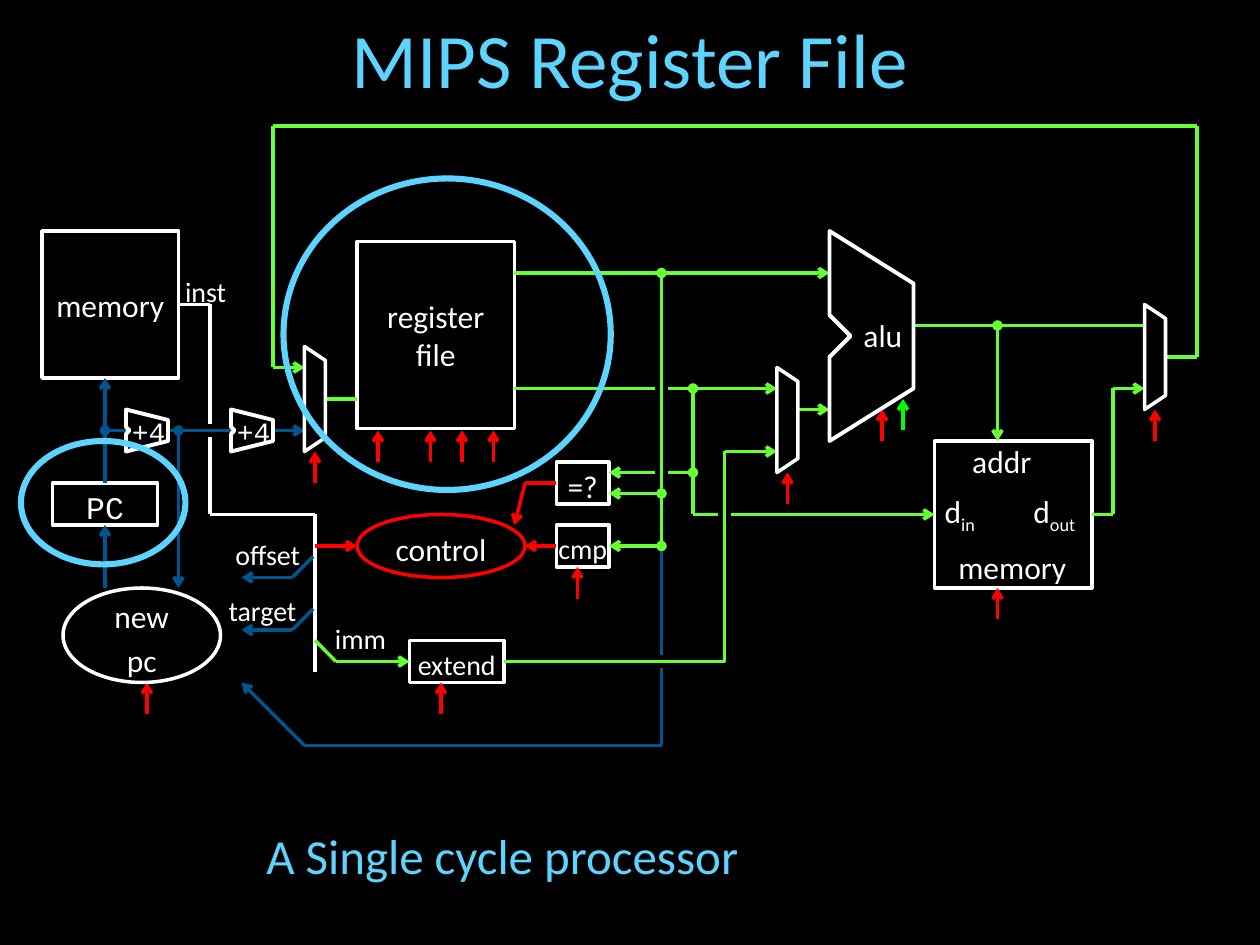
"""Build the MIPS register file slide: a single cycle processor datapath."""
from dataclasses import dataclass

import pptx
import pptx.dml.color
import pptx.enum.shapes
import pptx.enum.text
import pptx.oxml.ns
import pptx.util
from lxml import etree

Pt = pptx.util.Pt
RGB = pptx.dml.color.RGBColor.from_string
SHAPE = pptx.enum.shapes.MSO_SHAPE
qn = pptx.oxml.ns.qn


@dataclass(frozen=True)
class Theme:
    black: str = "000000"
    white: str = "FFFFFF"
    green: str = "66FF33"
    lime: str = "00FF00"
    red: str = "FF0000"
    blue: str = "005490"
    accent: str = "5DD4FF"
    font: str = "Calibri"
    mono: str = "Courier New"
    title: int = 44
    caption: int = 28
    block: int = 18
    small: int = 16


T = Theme()

prs = pptx.Presentation()
prs.slide_width, prs.slide_height = Pt(720), Pt(540)
s = prs.slides.add_slide(prs.slide_layouts[6])
s.background.fill.solid()
s.background.fill.fore_color.rgb = RGB(T.black)
joints = {}


def write(sp, text, size, color=T.white, font=T.font, spacing=1.16, sub=""):
    tf = sp.text_frame
    tf.text = text
    tf.word_wrap = False
    tf.vertical_anchor = pptx.enum.text.MSO_ANCHOR.MIDDLE
    tf.margin_left = tf.margin_right = Pt(0)
    if sub:
        r = tf.paragraphs[0].add_run()
        r.text = sub
        r._r.get_or_add_rPr().set("baseline", "-25000")
    for p in tf.paragraphs:
        p.alignment = pptx.enum.text.PP_ALIGN.CENTER
        p.line_spacing = spacing
        for r in p.runs:
            r.font.size, r.font.name = Pt(size), font
            r.font.color.rgb = RGB(color)


def wire(color, points, head=None, tail="arrow", width=2):
    last = len(points) - 2
    for i, (a, b) in enumerate(zip(points, points[1:])):
        c = s.shapes.add_connector(pptx.enum.shapes.MSO_CONNECTOR.STRAIGHT,
                                   Pt(a[0]), Pt(a[1]), Pt(b[0]), Pt(b[1]))
        c.line.color.rgb = RGB(color)
        c.line.width = Pt(width)
        if a in joints:
            c.begin_connect(*joints[a])
        if b in joints:
            c.end_connect(*joints[b])
        ln = c._element.spPr.find(qn("a:ln"))
        if head and i == 0:
            etree.SubElement(ln, qn("a:headEnd"), type=head)
        if tail and i == last:
            etree.SubElement(ln, qn("a:tailEnd"), type=tail)
        etree.SubElement(c._element.spPr, qn("a:effectLst"))


outlined = []

for text, x, y, w, h, size, font, spacing in [
    ("memory", 24, 132, 78, 84, T.block, T.font, 1),
    ("register\nfile", 204, 138, 90, 107, T.block, T.font, 1),
    ("PC", 30, 276, 60, 24, T.block, T.mono, 1.16),
    ("=?", 318, 264, 30, 24, T.block, T.font, 1.16),
    ("cmp", 318, 300, 30, 24, T.small, T.font, 1.16),
    ("extend", 234, 366, 54, 24, T.small, T.font, 1.16),
    ("", 534, 252, 90, 84, T.block, T.font, 1.16),
]:
    sp = s.shapes.add_shape(SHAPE.RECTANGLE, Pt(x), Pt(y), Pt(w), Pt(h))
    if text:
        write(sp, text, size, font=font, spacing=spacing)
    outlined.append((sp, T.white, 2, False))
    sides = [(x + w / 2, y), (x, y + h / 2), (x + w / 2, y + h), (x + w, y + h / 2)]
    joints.update({point: (sp, side) for side, point in enumerate(sides)})

wire(T.white, [(102, 174), (120, 174), (120, 294), (180, 294), (180, 384)], tail=None)

for points, head in [
    ([(60, 276), (60, 216)], None),
    ([(60, 336), (60, 300)], None),
    ([(102, 246), (102, 336)], "oval"),
    ([(179, 318), (167, 330), (138, 330)], None),
    ([(179, 348), (167, 360), (138, 360)], None),
    ([(378, 312), (378, 426), (174, 426), (138, 390)], None),
]:
    wire(T.blue, points, head)

for points, head, tail in [
    ([(294, 156), (474, 156)], None, "arrow"),
    ([(294, 222), (444, 222)], None, "arrow"),
    ([(522, 186), (654, 186)], None, None),
    ([(666, 204), (684, 204), (684, 72), (156, 72), (156, 210), (174, 210)], None, "arrow"),
    ([(396, 222), (396, 294), (534, 294)], "oval", "arrow"),
    ([(396, 270), (348, 270)], "oval", "arrow"),
    ([(378, 282), (348, 282)], "oval", "arrow"),
    ([(378, 312), (348, 312)], None, "arrow"),
    ([(570, 186), (570, 252)], "oval", "arrow"),
    ([(624, 294), (636, 294), (636, 222), (654, 222)], None, "arrow"),
    ([(180, 366), (192, 378), (234, 378)], None, "arrow"),
    ([(186, 228), (204, 228)], None, None),
    ([(456, 234), (474, 234)], None, "arrow"),
]:
    wire(T.green, points, head, tail)

for points in [
    [(180, 312), (204, 312)],
    [(318, 312), (300, 312)],
    [(318, 276), (300, 276), (294, 300)],
]:
    wire(T.red, points)

for x, y in [(330, 324), (570, 336), (660, 234), (504, 234), (450, 270), (252, 390),
             (84, 390), (180, 258), (216, 246), (246, 246), (264, 246), (282, 246)]:
    wire(T.red, [(x, y + 18), (x, y)])
wire(T.lime, [(516, 246), (516, 228)])

for gap in [
    [(114, 246), (132, 246)],
    [(372, 378), (390, 378)],
    [(378, 216), (378, 228)],
    [(378, 264), (378, 276)],
    [(414, 288), (414, 300)],
]:
    wire(T.black, gap, tail=None, width=7)

wire(T.blue, [(60, 246), (174, 246)], "oval")
wire(T.green, [(378, 312), (378, 156)], "oval", "oval")
wire(T.green, [(288, 378), (414, 378), (414, 258), (444, 258)])

mux = [(0, 0), (12, 8), (12, 52), (0, 60)]
adder = [(0, 0), (24, 6), (24, 18), (0, 24), (0, 14), (2, 12), (0, 10)]
alu = [(0, 0), (48, 30), (48, 90), (0, 120), (0, 72), (12, 60), (0, 48)]
for outline, x, y, width, filled in [
    (mux, 174, 198, 2, False),
    (mux, 444, 210, 2, False),
    (mux, 654, 174, 2, False),
    (adder, 72, 234, 2.25, True),
    (adder, 132, 234, 2.25, True),
    (alu, 474, 132, 2.25, False),
]:
    fb = s.shapes.build_freeform(*outline[0], scale=Pt(1))
    fb.add_line_segments(outline[1:], close=True)
    outlined.append((fb.convert_to_shape(Pt(x), Pt(y)), T.white, width, filled))

for text, x, y, w, h, color, width, filled in [
    ("control", 204, 294, 96, 36, T.red, 2, True),
    ("new\npc", 36, 336, 90, 54, T.white, 2, False),
    ("", 162, 102, 187, 178, T.accent, 3.5, False),
    ("", 12, 252, 94, 70.5, T.accent, 3.5, False),
]:
    sp = s.shapes.add_shape(SHAPE.OVAL, Pt(x), Pt(y), Pt(w), Pt(h))
    if text:
        write(sp, text, T.block)
    outlined.append((sp, color, width, filled))

for sp, color, width, filled in outlined:
    sp.shadow.inherit = False
    sp.line.color.rgb = RGB(color)
    sp.line.width = Pt(width)
    if filled:
        sp.fill.solid()
        sp.fill.fore_color.rgb = RGB(T.black)
    else:
        sp.fill.background()

for text, sub, x, y, w, h, size, color, font, spacing in [
    ("MIPS Register File", "", 18, 12, 684, 42, T.title, T.accent, T.font, 1),
    ("A Single cycle processor", "", 137, 468, 300, 41, T.caption, T.accent, T.font, 1),
    ("inst", "", 98, 156, 39, 18, T.small, T.white, T.font, 1.16),
    ("offset", "", 126, 306, 54, 18, T.small, T.white, T.font, 1.16),
    ("target", "", 123, 338, 54, 18, T.small, T.white, T.font, 1.16),
    ("imm", "", 184, 354, 44, 18, T.small, T.white, T.font, 1.16),
    ("+4", "", 70, 236, 30, 18, T.small, T.white, T.mono, 1.16),
    ("+4", "", 130, 236, 30, 18, T.small, T.white, T.mono, 1.16),
    ("alu", "", 486, 174, 37, 31, T.block, T.white, T.font, 1.16),
    ("addr", "", 534, 246, 77, 31, T.block, T.white, T.font, 1.16),
    ("d", "in", 528, 276, 41, 31, T.block, T.white, T.font, 1.16),
    ("d", "out", 582, 276, 41, 31, T.block, T.white, T.font, 1.16),
    ("memory", "", 540, 306, 77, 32, T.block, T.white, T.font, 1.16),
]:
    sp = s.shapes.add_textbox(Pt(x), Pt(y), Pt(w), Pt(h))
    write(sp, text, size, color, font, spacing, sub)

prs.save("out.pptx")
